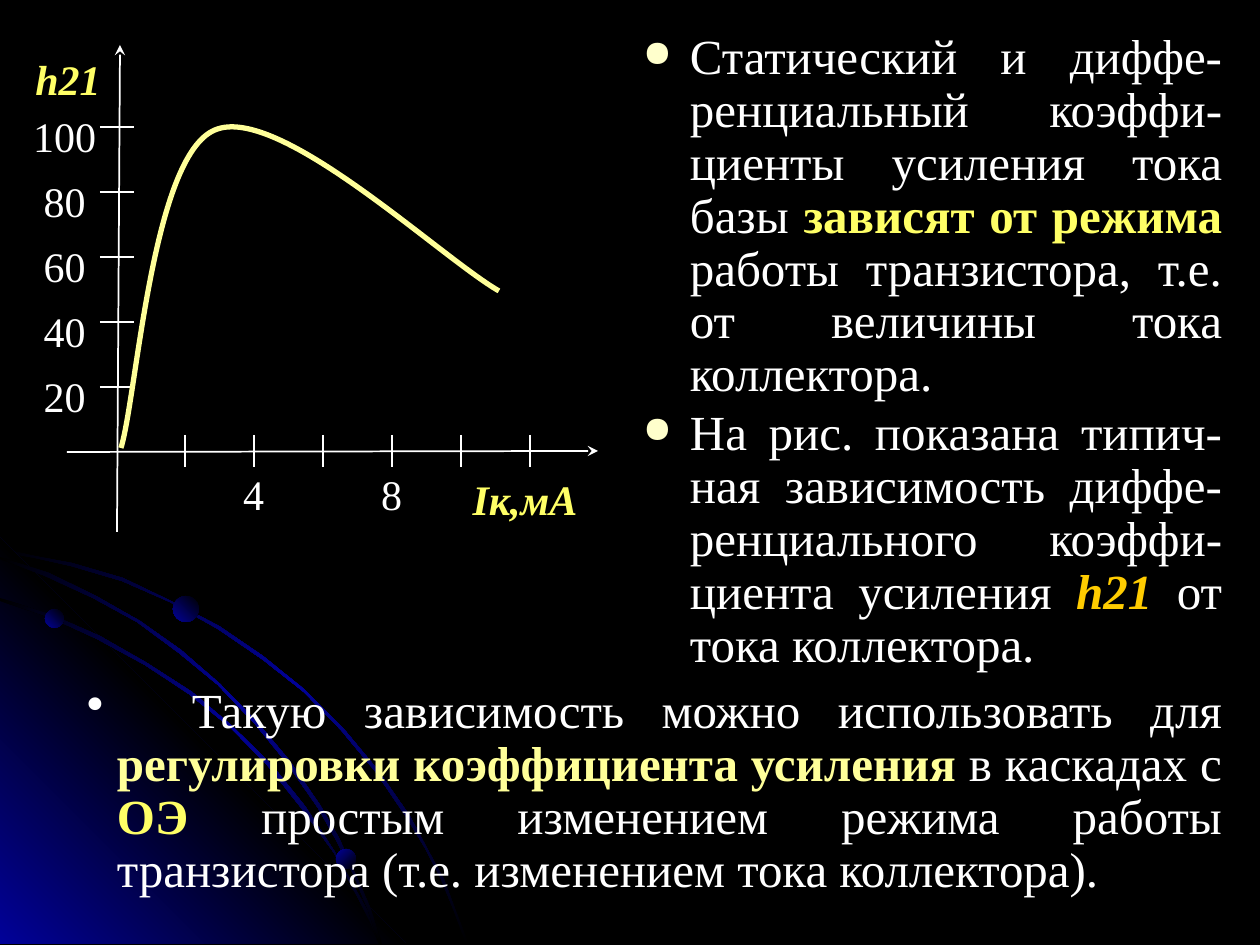
from lxml import etree
from pptx import Presentation
from pptx.dml.color import RGBColor
from pptx.enum.shapes import MSO_CONNECTOR, MSO_SHAPE
from pptx.enum.text import PP_ALIGN
from pptx.oxml import parse_xml
from pptx.oxml.ns import qn
from pptx.util import Emu, Pt

STRAIGHT, ELLIPSE = MSO_CONNECTOR.STRAIGHT, MSO_SHAPE.OVAL
CENTER, JUSTIFY = PP_ALIGN.CENTER, PP_ALIGN.JUSTIFY
SCALE = 914400 / 126
NAMESPACE = "http://schemas.openxmlformats.org/drawingml/2006/main"
FONT = "Times New Roman"
WHITE, BLACK, BLUE = "FFFFFF", "000000", "010199"
YELLOW, PALE, CREAM, GOLD = "FFFF66", "FFFF99", "FFFFCC", "FFCC00"

# Text: runs are (text, colour, bold, italic)
BODY = [
    [("Статический и диффе-ренциальный коэффи-циенты усиления тока базы ", WHITE, False, False),
     ("зависят от режима", YELLOW, True, False),
     (" работы транзистора, т.е. от величины тока коллектора. ", WHITE, False, False)],
    [("На рис. показана типич-ная зависимость диффе-ренциального коэффи-циента усиления ",
      WHITE, False, False),
     ("h21 ", GOLD, True, True),
     ("от тока коллектора. ", WHITE, False, False)],
]
CONCLUSION = [
    [("\tТакую зависимость можно использовать для ", WHITE, False, False),
     ("регулировки коэффициента усиления", PALE, True, False),
     (" в каскадах с ", WHITE, False, False),
     ("ОЭ", YELLOW, True, False),
     (" простым изменением режима работы транзистора (т.е. изменением тока коллектора). ",
      WHITE, False, False)],
]

# Chart: axes, tick steps and the curve's Bezier control points
Y_LABELS = ["100", "80", "60", "40", "20"]
X_LABELS = ["", "4", "", "8", "", ""]
Y_FIRST, Y_STEP, X_FIRST, X_STEP = 127, 65, 185, 69
AXES = [(117, 532, 120, 45), (67, 452, 598, 451)]
AXIS_TITLES = [("h21", 25, 54, 86, 48), ("Iк,мА", 449, 474, 152, 53)]
CURVE = [(121, 448), (137, 396), (152, 156), (215, 130),
         (278, 103), (440, 257), (499, 291)]

# Backdrop: outlines with gradient stops and angle, then dots
ARC_STOPS = [(0, BLACK), (50, BLUE), (100, BLACK)]
CORNER_STOPS = [(0, BLUE), (50, BLACK), (100, BLUE)]
DOT_STOPS = [(0, BLACK), (100, BLUE)]
OUTER_ARC = [
    (72, 563), (35, 556), (0, 548), (0, 552), (35, 558), (71, 566), (122, 581), (170, 602),
    (218, 629), (262, 659), (304, 692), (341, 730), (375, 771), (407, 818), (425, 848),
    (441, 879), (454, 911), (466, 944), (469, 944), (456, 911), (444, 879), (427, 848),
    (410, 816), (378, 770), (343, 728), (305, 690), (263, 656), (219, 626), (171, 601),
    (123, 578)]
CORNER = [(406, 944), (0, 944), (0, 538)]
INNER_ARC = [
    (359, 900), (370, 922), (379, 944), (382, 944), (373, 920), (360, 897), (335, 852),
    (305, 806), (271, 764), (232, 726), (192, 692), (147, 663), (100, 636), (52, 615),
    (0, 598), (0, 601), (49, 617), (97, 639), (145, 665), (189, 694), (231, 728),
    (268, 766), (302, 809), (334, 853)]
MIDDLE_ARC = [
    (0, 557), (0, 559), (45, 576), (93, 598), (137, 622), (179, 653), (218, 685), (255, 724),
    (286, 762), (318, 808), (336, 840), (353, 874), (368, 910), (379, 944), (382, 944),
    (370, 907), (355, 873), (339, 838), (320, 805), (289, 760), (257, 722), (220, 684),
    (181, 650), (140, 621), (96, 596), (49, 573)]
BACKDROP = [(OUTER_ARC, ARC_STOPS, 225), (CORNER, CORNER_STOPS, 135),
            (INNER_ARC, ARC_STOPS, 225), (MIDDLE_ARC, ARC_STOPS, 225)]
DOTS = [(45, 609, 19, 135), (336, 849, 20, 225), (173, 596, 26, 135)]


def px(value):
    return Emu(round(value * SCALE))


def color(value):
    return RGBColor.from_string(value)


def fill_gradient(shape, stops, angle):
    shape.shadow.inherit = False
    shape.line.fill.background()
    shape.fill.background()
    marks = "".join(f'<a:gs pos="{position * 1000}"><a:srgbClr val="{value}"/></a:gs>'
                    for position, value in stops)
    properties = shape._element.spPr
    properties.replace(properties.find(qn("a:noFill")), parse_xml(
        f'<a:gradFill xmlns:a="{NAMESPACE}" rotWithShape="1"><a:gsLst>{marks}</a:gsLst>'
        f'<a:lin ang="{angle * 60000}" scaled="0"/></a:gradFill>'))


def add_outline(points, close=True):
    builder = slide.shapes.build_freeform(*points[0], scale=SCALE)
    builder.add_line_segments(points[1:], close=close)
    return builder.convert_to_shape()


def add_curve(points):
    shape = add_outline(points, close=False)
    shape.shadow.inherit = False
    shape.fill.background()
    shape.line.color.rgb = color(PALE)
    shape.line.width = Pt(3)
    # Each three control points become one cubic segment
    segments = list(shape._element.iter(qn("a:lnTo")))
    for start in range(0, len(segments), 3):
        cubic = etree.SubElement(segments[start].getparent(), qn("a:cubicBezTo"))
        for segment in segments[start:start + 3]:
            cubic.append(segment[0])
            segment.getparent().remove(segment)


def add_line(x1, y1, x2, y2, width=0.75, arrow=False):
    line = slide.shapes.add_connector(STRAIGHT, px(x1), px(y1), px(x2), px(y2))
    line.line.color.rgb = color(WHITE)
    line.line.width = Pt(width)
    if arrow:
        etree.SubElement(line.line._get_or_add_ln(), qn("a:tailEnd"), type="stealth")
    etree.SubElement(line._element.spPr, qn("a:effectLst"))


def add_box(left, top, width, height, inset_x=0, inset_y=0):
    frame = slide.shapes.add_textbox(px(left), px(top), px(width), px(height)).text_frame
    frame.word_wrap = True
    frame.margin_left = frame.margin_right = px(inset_x)
    frame.margin_top = frame.margin_bottom = px(inset_y)
    return frame


def add_label(text, left, top, width, height, value=WHITE, strong=False):
    paragraph = add_box(left, top, width, height).paragraphs[0]
    paragraph.text = text
    paragraph.alignment = CENTER
    font = paragraph.font
    font.name, font.size, font.color.rgb = FONT, Pt(24), color(value)
    font.bold = font.italic = strong


def add_bullets(box, paragraphs, bullet, bullet_color, bullet_size, indent, space, tab=None):
    frame = add_box(*box, inset_x=13, inset_y=6)
    for index, runs in enumerate(paragraphs):
        paragraph = frame.add_paragraph() if index else frame.paragraphs[0]
        paragraph.alignment, paragraph.line_spacing = JUSTIFY, 0.9
        paragraph.space_before = Pt(space)
        paragraph.font.name, paragraph.font.size = FONT, Pt(28)
        properties = paragraph._p.get_or_add_pPr()
        properties.set("marL", str(px(indent)))
        properties.set("indent", str(px(-indent)))
        marks = [f'<a:buClr xmlns:a="{NAMESPACE}"><a:srgbClr val="{bullet_color}"/></a:buClr>',
                 f'<a:buSzPct xmlns:a="{NAMESPACE}" val="{bullet_size * 1000}"/>',
                 f'<a:buChar xmlns:a="{NAMESPACE}" char="{bullet}"/>']
        if tab:
            marks.append(f'<a:tabLst xmlns:a="{NAMESPACE}"><a:tab pos="{px(tab)}" algn="l"/></a:tabLst>')
        default_font = properties.find(qn("a:defRPr"))
        for mark in marks:
            default_font.addprevious(parse_xml(mark))
        for text, value, bold, italic in runs:
            run = paragraph.add_run()
            run.text = text
            run.font.name, run.font.size = FONT, Pt(28)
            run.font.color.rgb = color(value)
            run.font.bold, run.font.italic = bold, italic


presentation = Presentation()
presentation.slide_width, presentation.slide_height = px(1260), px(945)
slide = presentation.slides.add_slide(presentation.slide_layouts[6])
slide.background.fill.solid()
slide.background.fill.fore_color.rgb = color(BLACK)

# Backdrop
for points, stops, angle in BACKDROP:
    fill_gradient(add_outline(points), stops, angle)
for left, top, size, angle in DOTS:
    dot = slide.shapes.add_shape(ELLIPSE, px(left), px(top), px(size), px(size))
    fill_gradient(dot, DOT_STOPS, angle)

# Chart
for index, text in enumerate(Y_LABELS):
    y = Y_FIRST + index * Y_STEP
    add_line(100, y, 134, y)
    add_label(text, 30, y - 16, 69, 49)
for index, text in enumerate(X_LABELS):
    x = X_FIRST + index * X_STEP
    add_line(x, 435, x, 467)
    if text:
        add_label(text, x - 35, 469, 69, 49)
for axis in AXES:
    add_line(*axis, width=1, arrow=True)
for title in AXIS_TITLES:
    add_label(*title, value=YELLOW, strong=True)
add_curve(CURVE)

# Explanations
add_bullets((630, 26, 605, 704), BODY, "●", CREAM, 75, 47, 3.5)
add_bullets((74, 680, 1161, 224), CONCLUSION, "•", WHITE, 100, 30, 17.5, tab=105)

presentation.save("out.pptx")
